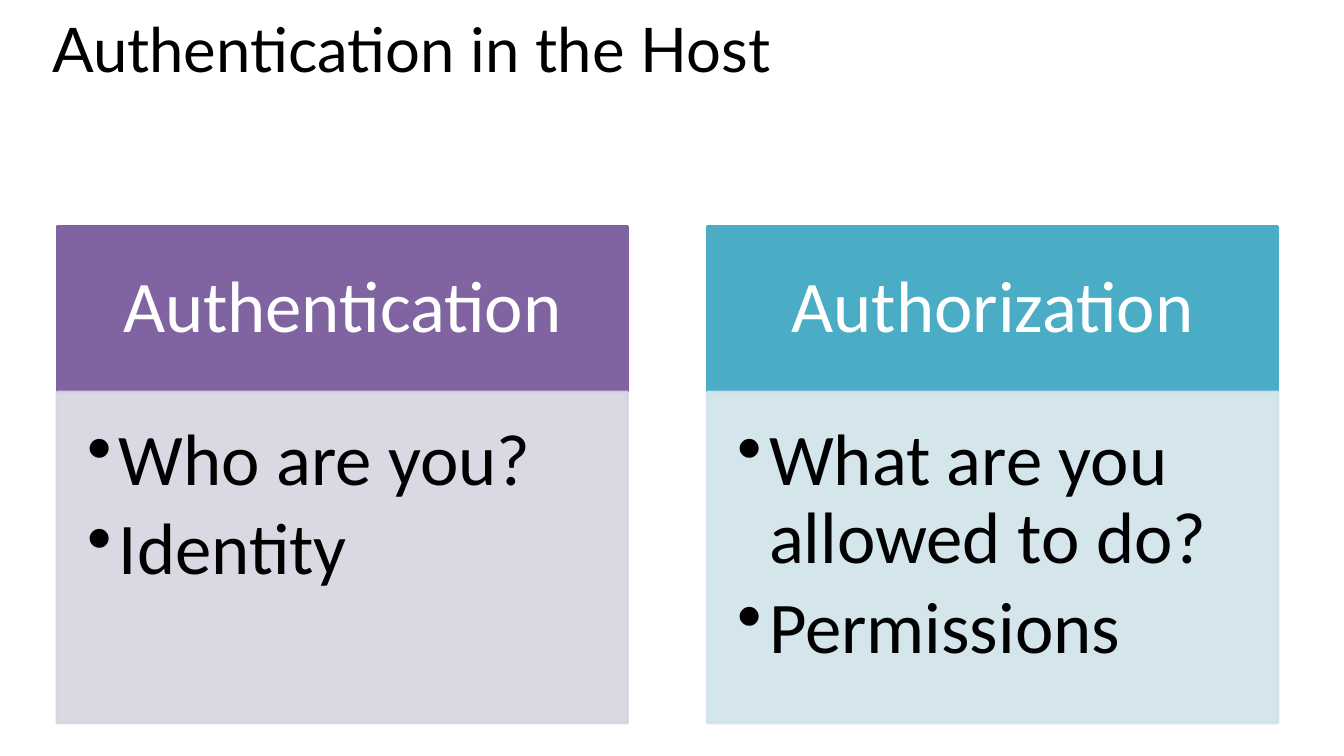
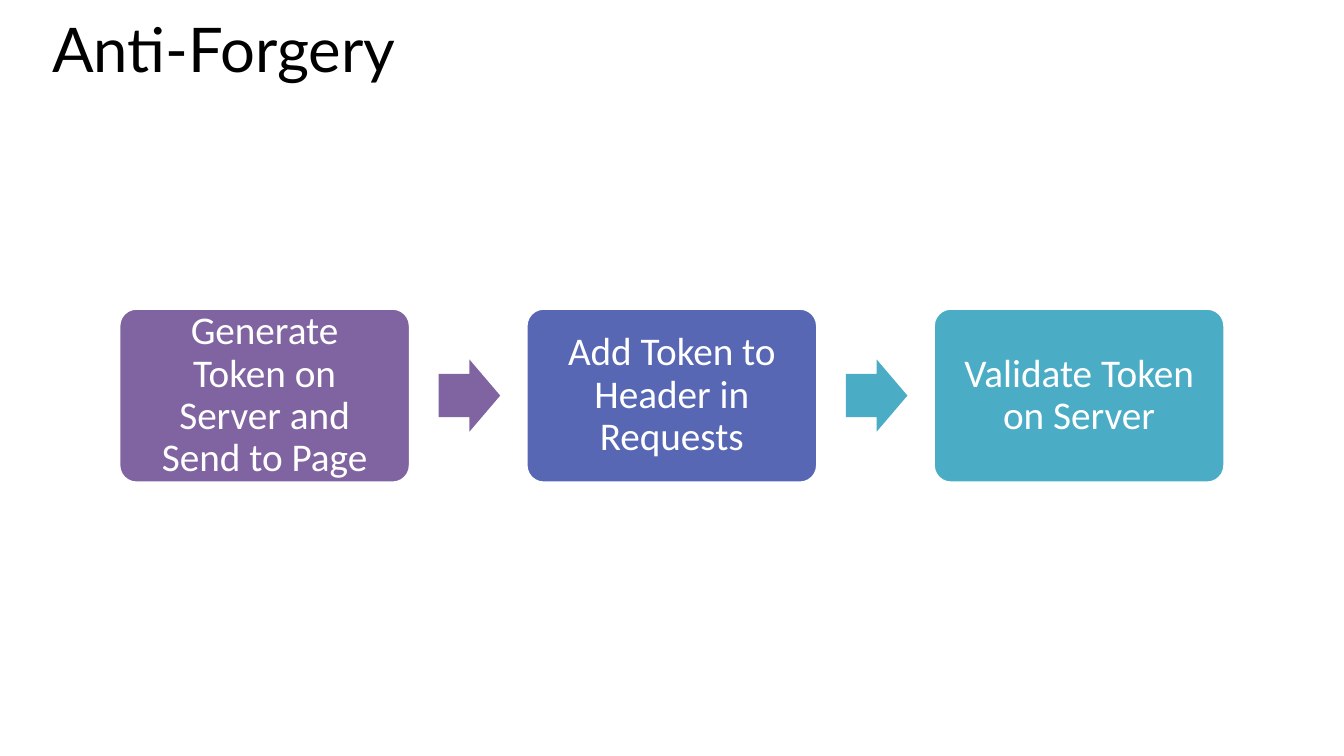
from dataclasses import dataclass
from lxml import etree
from pptx import Presentation
from pptx.dml.color import RGBColor
from pptx.enum.shapes import MSO_SHAPE
from pptx.enum.text import MSO_ANCHOR, PP_ALIGN
from pptx.oxml.ns import qn
from pptx.util import Pt

RECT = MSO_SHAPE.RECTANGLE
ROUND = MSO_SHAPE.ROUNDED_RECTANGLE
ARROW = MSO_SHAPE.RIGHT_ARROW
TOP, MIDDLE = MSO_ANCHOR.TOP, MSO_ANCHOR.MIDDLE
LEFT, CENTER = PP_ALIGN.LEFT, PP_ALIGN.CENTER


@dataclass(frozen=True)
class Theme:
    purple: str = "8064A2"
    blue: str = "5767B4"
    teal: str = "4BACC6"
    lilac: str = "D8D3E0"
    pale: str = "D0E3EA"
    black: str = "000000"
    white: str = "FFFFFF"
    head: str = "Lato"
    body: str = "Calibri"
    title: int = 44
    large: int = 52
    small: int = 28
    border: int = 2


T = Theme()

HOST = "Authentication in the Host"
CARDS = [
    ("Authentication", T.purple, T.lilac, ["Who are you?", "Identity"]),
    ("Authorization", T.teal, T.pale,
     ["What are you allowed to do?", "Permissions"]),
]

FORGERY = "Anti-Forgery"
STEPS = [
    ("Generate Token on Server and Send to Page", T.purple),
    ("Add Token to Header in Requests", T.blue),
    ("Validate Token on Server", T.teal),
]
ARROWS = [T.purple, T.teal]


def write(shape, lines, size, color, font=T.body, align=CENTER,
          anchor=MIDDLE, inset=(0, 0, 0, 0), pitch=0.9, after=0):
    frame = shape.text_frame
    frame.word_wrap = True
    frame.vertical_anchor = anchor
    (frame.margin_left, frame.margin_top,
     frame.margin_right, frame.margin_bottom) = [Pt(v) for v in inset]
    frame.text = "\n".join(lines)
    for para in frame.paragraphs:
        para.alignment = align
        para.line_spacing = pitch
        para.space_after = Pt(after)
        for run in para.runs:
            run.font.name = font
            run.font.size = Pt(size)
            run.font.color.rgb = RGBColor.from_string(color)


def draw(slide, kind, box, fill, line=None, adjust=()):
    shape = slide.shapes.add_shape(kind, *[Pt(v) for v in box])
    shape.shadow.inherit = False
    shape.fill.solid()
    shape.fill.fore_color.rgb = RGBColor.from_string(fill)
    if line:
        shape.line.color.rgb = RGBColor.from_string(line)
        shape.line.width = Pt(T.border)
    else:
        shape.line.fill.background()
    for i, value in enumerate(adjust):
        shape.adjustments[i] = value
    return shape


def fade(shape, share):
    for color in shape.element.spPr.iter(qn("a:srgbClr")):
        etree.SubElement(color, qn("a:alpha")).set("val", str(share * 1000))


def bullet(shape, indent):
    for para in shape.text_frame.paragraphs:
        props = para._p.get_or_add_pPr()
        props.set("marL", str(Pt(indent)))
        props.set("indent", str(-Pt(indent)))
        etree.SubElement(props, qn("a:buChar")).set("char", "•")


def start(deck, title):
    slide = deck.slides.add_slide(deck.slide_layouts[6])
    box = slide.shapes.add_textbox(Pt(30.2), Pt(14.4), Pt(907), Pt(83.5))
    write(box, [title], T.title, T.black, T.head, LEFT, TOP,
          (7.2, 3.6, 7.2, 3.6), 0.8)
    return slide


def compare(deck):
    slide = start(deck, HOST)
    left, top, wide, step = 40.8, 162, 407.5, 464.5
    band, panel = 118, 236.4
    for i, (name, dark, light, points) in enumerate(CARDS):
        x = left + i * step
        head = draw(slide, RECT, (x, top, wide, band), dark, dark)
        write(head, [name], T.large, T.white, inset=(28.8, 16.5, 28.8, 16.5))
        body = draw(slide, RECT, (x, top + band, wide, panel), light, light)
        fade(body, 90)
        write(body, points, T.large, T.black, align=LEFT, anchor=TOP,
              inset=(21.6, 21.6, 28.8, 33), after=8)
        bullet(body, 22.5)


def flow(deck):
    slide = start(deck, FORGERY)
    left, top, wide, tall, step = 85, 220.3, 208, 124.6, 290.9
    shift, span, rise = 228.3, 44, 51.6
    for i, (label, color) in enumerate(STEPS):
        box = (left + i * step, top, wide, tall)
        card = draw(slide, ROUND, box, color, T.white, [0.1])
        write(card, [label], T.small, T.white, inset=[12] * 4)
    for i, color in enumerate(ARROWS):
        box = (left + i * step + shift, top + (tall - rise) / 2, span, rise)
        draw(slide, ARROW, box, color, adjust=[0.6, 0.5])


deck = Presentation()
deck.slide_width, deck.slide_height = Pt(960), Pt(540)
compare(deck)
flow(deck)
deck.save("out.pptx")
